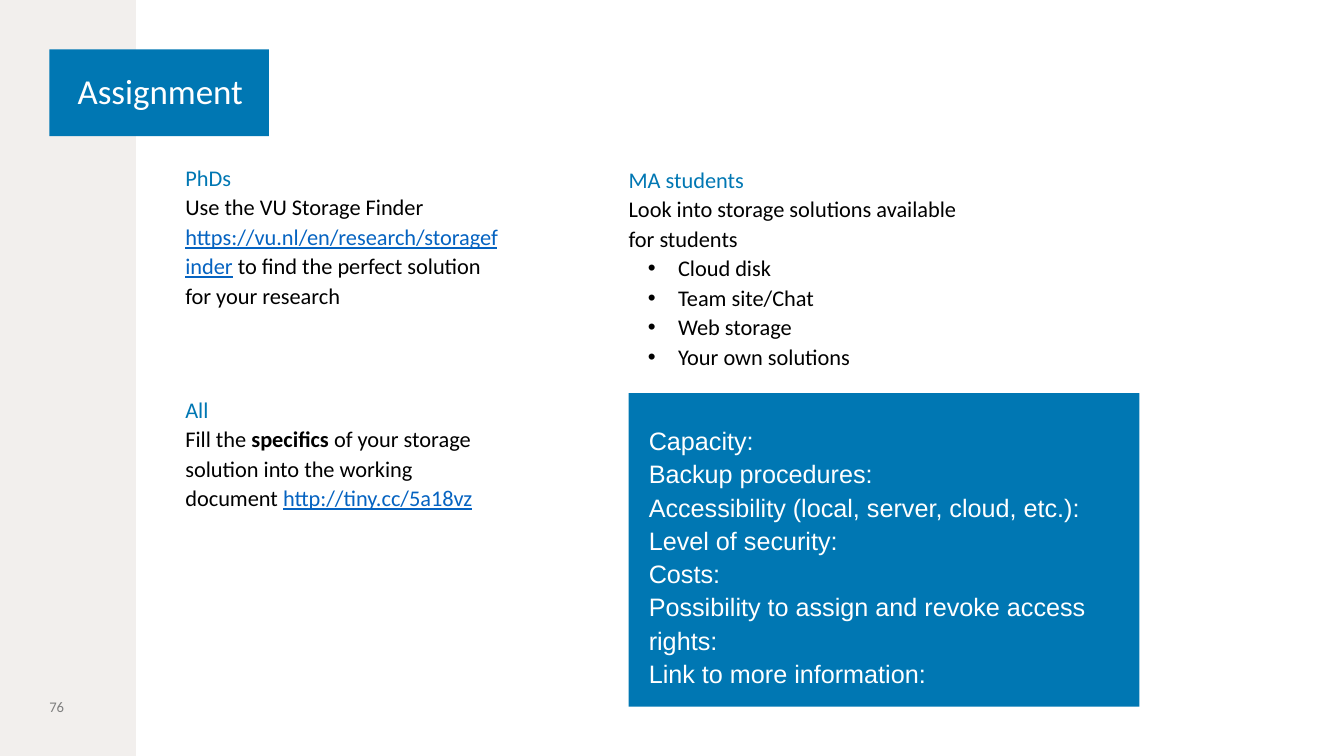
from lxml import etree
from pptx import Presentation
from pptx.dml.color import RGBColor
from pptx.enum import shapes, text
from pptx.oxml import ns
from pptx.util import Inches, Pt

COLOURS = {"blue": "0077B3", "sand": "F2EFED", "white": "FFFFFF",
           "black": "000000", "grey": "7F7F7F", "link": "0563C1"}
LEFT_COLUMN, RIGHT_COLUMN, LOWER_ROW = 1.84, 6.24, 3.9


def add_block(slide, left, top, width, height, fill):
    shape = slide.shapes.add_shape(
        shapes.MSO_SHAPE.RECTANGLE,
        Inches(left), Inches(top), Inches(width), Inches(height))
    shape.shadow.inherit = False
    shape.fill.solid()
    shape.fill.fore_color.rgb = RGBColor.from_string(COLOURS[fill])
    shape.line.fill.background()
    return shape


def add_text_box(slide, left, top, width, height):
    return slide.shapes.add_textbox(
        Inches(left), Inches(top), Inches(width), Inches(height))


def set_frame(shape, margins=(0, 0, 0, 0), anchor=text.MSO_ANCHOR.TOP, wrap=True):
    """Set margins in the order left, top, right, bottom."""
    frame = shape.text_frame
    frame.word_wrap = wrap
    frame.vertical_anchor = anchor
    (frame.margin_left, frame.margin_top,
     frame.margin_right, frame.margin_bottom) = map(Inches, margins)
    return frame


def add_bullet(paragraph):
    properties = paragraph._p.get_or_add_pPr()
    properties.set("marL", str(Inches(0.49)))
    properties.set("indent", str(Inches(-0.3)))
    font = etree.SubElement(properties, ns.qn("a:buFont"))
    font.set("typeface", "Arial")
    etree.SubElement(properties, ns.qn("a:buChar")).set("char", "•")


def add_run(paragraph, wording, size=16, font="Calibri", colour="black",
            bold=False, underline=False):
    run = paragraph.add_run()
    run.text = wording
    run.font.size = Pt(size)
    run.font.name = font
    run.font.bold = bold
    run.font.underline = underline
    run.font.color.rgb = RGBColor.from_string(COLOURS[colour])


def add_paragraph(frame, *runs, spacing=1.1, bullet=False, **text_format):
    """Each run is a string, or a pair of a string and its own format."""
    first = frame.paragraphs[0]
    paragraph = frame.add_paragraph() if first.runs else first
    paragraph.alignment = text.PP_ALIGN.LEFT
    paragraph.line_spacing = spacing
    if bullet:
        add_bullet(paragraph)
    for run in runs:
        wording, own_format = (run, {}) if isinstance(run, str) else run
        add_run(paragraph, wording, **{**text_format, **own_format})


def add_task(slide, left, top, width, height, heading, *body, options=()):
    frame = set_frame(add_text_box(slide, left, top, width, height))
    add_paragraph(frame, heading, colour="blue")
    add_paragraph(frame, *body)
    for option in options:
        add_paragraph(frame, option, bullet=True)


def add_criteria(slide, criteria):
    panel = add_block(slide, RIGHT_COLUMN, LOWER_ROW, 5.07, 3.11, "blue")
    frame = set_frame(panel, (0.2, 0.29, 0.2, 0))
    for criterion in criteria:
        add_paragraph(frame, criterion, size=18, font="Arial", colour="white")


def main():
    presentation = Presentation()
    presentation.slide_width = Inches(13.34)
    presentation.slide_height = Inches(7.5)
    slide = presentation.slides.add_slide(presentation.slide_layouts[6])
    middle = text.MSO_ANCHOR.MIDDLE
    link = {"colour": "link", "underline": True}

    add_block(slide, 0, 0, 1.35, 7.5, "sand")
    title = add_block(slide, 0.49, 0.49, 2.18, 0.86, "blue")
    add_paragraph(set_frame(title, (0.28, 0.24, 0.24, 0.24), middle, wrap=False),
                  "Assignment", spacing=0.9, size=25, colour="white")
    number = add_text_box(slide, 0.49, 6.52, 0.86, 0.98)
    add_paragraph(set_frame(number, anchor=middle),
                  "76", spacing=1.0, size=10.5, colour="grey")

    add_task(slide, LEFT_COLUMN, 1.6, 3.1, 1.97, "PhDs",
             "Use the VU Storage Finder ",
             ("https://vu.nl/en/research/storagefinder", link),
             " to find the perfect solution for your research")
    add_task(slide, LEFT_COLUMN, LOWER_ROW, 3.1, 1.51, "All",
             "Fill the ", ("specifics", {"bold": True}),
             " of your storage solution into the working document ",
             ("http://tiny.cc/5a18vz", link))
    add_task(slide, RIGHT_COLUMN, 1.62, 3.43, 2.11, "MA students",
             "Look into storage solutions available for students",
             options=("Cloud disk", "Team site/Chat", "Web storage",
                      "Your own solutions"))
    add_criteria(slide, (
        "Capacity:",
        "Backup procedures:",
        "Accessibility (local, server, cloud, etc.):",
        "Level of security:",
        "Costs:",
        "Possibility to assign and revoke access rights:",
        "Link to more information:"))
    presentation.save("out.pptx")


if __name__ == "__main__":
    main()
